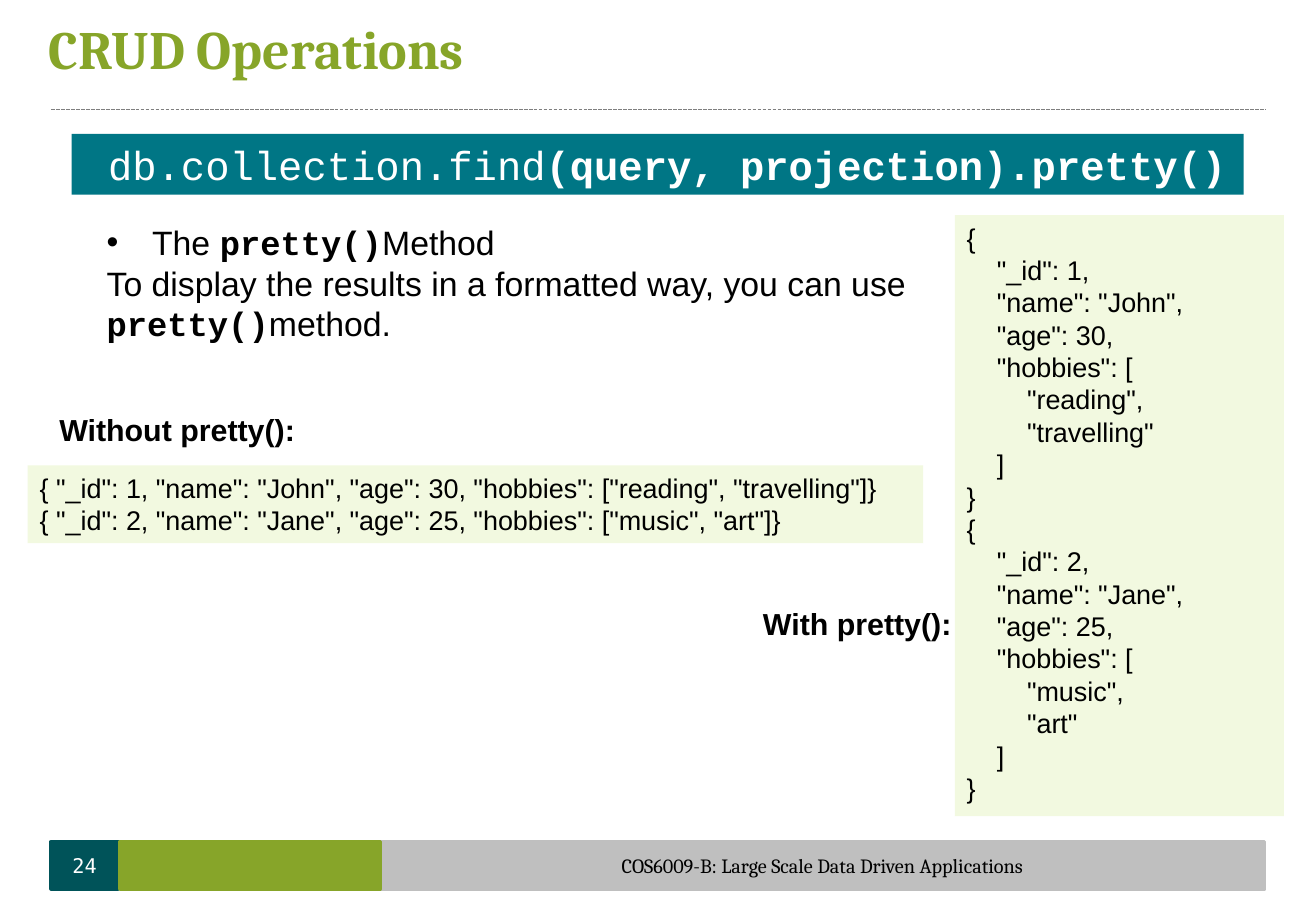
from dataclasses import dataclass
from typing import NamedTuple

from lxml.etree import SubElement
from pptx import Presentation
from pptx.dml.color import RGBColor
from pptx.enum.dml import MSO_LINE_DASH_STYLE as Dash
from pptx.enum.shapes import MSO_CONNECTOR as Connector, MSO_SHAPE as Shape
from pptx.enum.text import MSO_ANCHOR as Anchor, PP_ALIGN as Align
from pptx.oxml.ns import qn
from pptx.util import Cm, Pt


@dataclass(frozen=True)
class Theme:
    green: str = "87A529"
    dark_teal: str = "005359"
    teal: str = "007685"
    gray: str = "BFBFBF"
    rule: str = "7F7F7F"
    code_fill: str = "F2F9E0"
    black: str = "000000"
    white: str = "FFFFFF"
    heading_font: str = "Cambria"
    body_font: str = "Arial"
    code_font: str = "Courier New"
    number_font: str = "DejaVu Sans Mono"
    title_size: int = 32
    banner_size: int = 24
    body_size: int = 20
    label_size: int = 18
    code_size: int = 16
    footer_size: int = 12


class Box(NamedTuple):
    left: float
    top: float
    width: float
    height: float

    def lengths(self):
        return [Cm(value) for value in self]


THEME = Theme()
INDENT = 0.63  # one nesting level of the code, in cm


def color(value):
    return RGBColor.from_string(value)


def set_indent(paragraph, left, first=0):
    properties = paragraph._p.get_or_add_pPr()
    properties.set("marL", str(Cm(left)))
    properties.set("indent", str(Cm(first)))
    return properties


def set_bullet(paragraph, hanging):
    properties = set_indent(paragraph, hanging, -hanging)
    SubElement(properties, qn("a:buFont"), typeface=THEME.body_font)
    SubElement(properties, qn("a:buChar"), char="•")


def style(paragraph, font, size, ink=THEME.black, bold=None, align=Align.LEFT):
    paragraph.alignment = align
    paragraph.font.name = font
    paragraph.font.size = Pt(size)
    paragraph.font.color.rgb = color(ink)
    paragraph.font.bold = bold


def add_run(paragraph, text, bold=None, font=None):
    run = paragraph.add_run()
    run.text = text
    run.font.bold = bold
    run.font.name = font


def add_text(slide, box):
    frame = slide.shapes.add_textbox(*box.lengths()).text_frame
    frame.word_wrap = True
    return frame


def add_rectangle(slide, box, fill, line=None):
    shape = slide.shapes.add_shape(Shape.RECTANGLE, *box.lengths())
    shape.shadow.inherit = False
    shape.fill.solid()
    shape.fill.fore_color.rgb = color(fill)
    if line:
        shape.line.color.rgb = color(line)
        shape.line.width = Pt(2)
    else:
        shape.line.fill.background()
    shape.text_frame.word_wrap = True
    return shape.text_frame


def add_header(slide, box):
    # Title
    frame = add_text(slide, Box(box.left, box.top, 17.6, 2.16))
    frame.margin_left = frame.margin_right = frame.margin_top = frame.margin_bottom = 0
    frame.vertical_anchor = Anchor.MIDDLE
    title = frame.paragraphs[0]
    title.text = "CRUD Operations"
    style(title, THEME.heading_font, THEME.title_size, THEME.green, True)

    # Dashed rule
    bottom = Cm(box.top + box.height)
    rule = slide.shapes.add_connector(
        Connector.STRAIGHT, Cm(box.left + 0.05), bottom, Cm(box.left + box.width), bottom)
    rule.line.color.rgb = color(THEME.rule)
    rule.line.width = Pt(0.75)
    rule.line.dash_style = Dash.SQUARE_DOT
    SubElement(rule._element.spPr, qn("a:effectLst"))


def add_footer(slide, box):
    number_width, accent_width = 1.4, 5.48
    caption_left = number_width + accent_width
    parts = [
        (0, number_width, THEME.dark_teal, "24", THEME.number_font, THEME.white),
        (caption_left, box.width - caption_left, THEME.gray,
         "COS6009-B: Large Scale Data Driven Applications", THEME.heading_font, THEME.black),
        (number_width + 0.04, accent_width - 0.04, THEME.green, "", THEME.body_font, THEME.white),
    ]
    for offset, width, fill, text, font, ink in parts:
        part = Box(box.left + offset, box.top, width, box.height)
        frame = add_rectangle(slide, part, fill, fill)
        frame.margin_top = frame.margin_bottom = 0
        frame.vertical_anchor = Anchor.MIDDLE
        if text:
            paragraph = frame.paragraphs[0]
            paragraph.text = text
            style(paragraph, font, THEME.footer_size, ink, align=Align.CENTER)


def add_banner(slide, box):
    frame = add_rectangle(slide, box, THEME.teal)
    frame.vertical_anchor = Anchor.MIDDLE
    paragraph = frame.paragraphs[0]
    style(paragraph, THEME.code_font, THEME.banner_size, THEME.white)
    set_indent(paragraph, 0.51)
    add_run(paragraph, "db.collection.find")
    add_run(paragraph, "(query, projection).pretty()", bold=True)


def add_explanation(slide, box):
    frame = add_text(slide, box)
    bullet, sentence = frame.paragraphs[0], frame.add_paragraph()
    set_bullet(bullet, 0.95)
    for paragraph, before, after in (
        (bullet, "The ", "Method"),
        (sentence, "To display the results in a formatted way, you can use ", "method."),
    ):
        style(paragraph, THEME.body_font, THEME.body_size)
        add_run(paragraph, before)
        add_run(paragraph, "pretty()", bold=True, font=THEME.code_font)
        add_run(paragraph, after)


def add_label(slide, box, text):
    paragraph = add_text(slide, box).paragraphs[0]
    paragraph.text = text
    style(paragraph, THEME.body_font, THEME.label_size, bold=True)


def add_code(slide, box, lines):
    frame = add_rectangle(slide, box, THEME.code_fill)
    frame.vertical_anchor = Anchor.TOP
    for index, (level, text) in enumerate(lines):
        paragraph = frame.add_paragraph() if index else frame.paragraphs[0]
        paragraph.text = text
        style(paragraph, THEME.body_font, THEME.code_size)
        set_indent(paragraph, level * INDENT)


def compact_lines(people):
    for key, name, age, hobbies in people:
        listed = ", ".join(f'"{hobby}"' for hobby in hobbies)
        yield 0, f'{{ "_id": {key}, "name": "{name}", "age": {age}, "hobbies": [{listed}]}}'


def pretty_lines(people):
    for key, name, age, (first, second) in people:
        yield from [
            (0, "{"), (1, f'"_id": {key},'), (1, f'"name": "{name}",'), (1, f'"age": {age},'),
            (1, '"hobbies": ['), (2, f'"{first}",'), (2, f'"{second}"'), (1, "]"), (0, "}"),
        ]


def main():
    presentation = Presentation()
    presentation.slide_width, presentation.slide_height = Cm(27.51), Cm(19.05)
    slide = presentation.slides.add_slide(presentation.slide_layouts[6])
    people = [(1, "John", 30, ("reading", "travelling")), (2, "Jane", 25, ("music", "art"))]

    add_header(slide, Box(1.02, -0.08, 25.45, 2.37))
    add_footer(slide, Box(1.07, 17.6, 25.37, 0.99))
    add_banner(slide, Box(1.5, 2.8, 24.5, 1.27))
    add_explanation(slide, Box(1.98, 4.52, 19.79, 2.82))

    # Output without and with formatting
    add_label(slide, Box(0.99, 8.48, 13.77, 1.02), "Without pretty():")
    add_code(slide, Box(0.58, 9.73, 18.72, 1.63), compact_lines(people))
    add_code(slide, Box(19.96, 4.5, 6.88, 12.57), pretty_lines(people))
    add_label(slide, Box(15.7, 12.52, 4.8, 1.02), "With pretty():")

    presentation.save("out.pptx")


if __name__ == "__main__":
    main()
